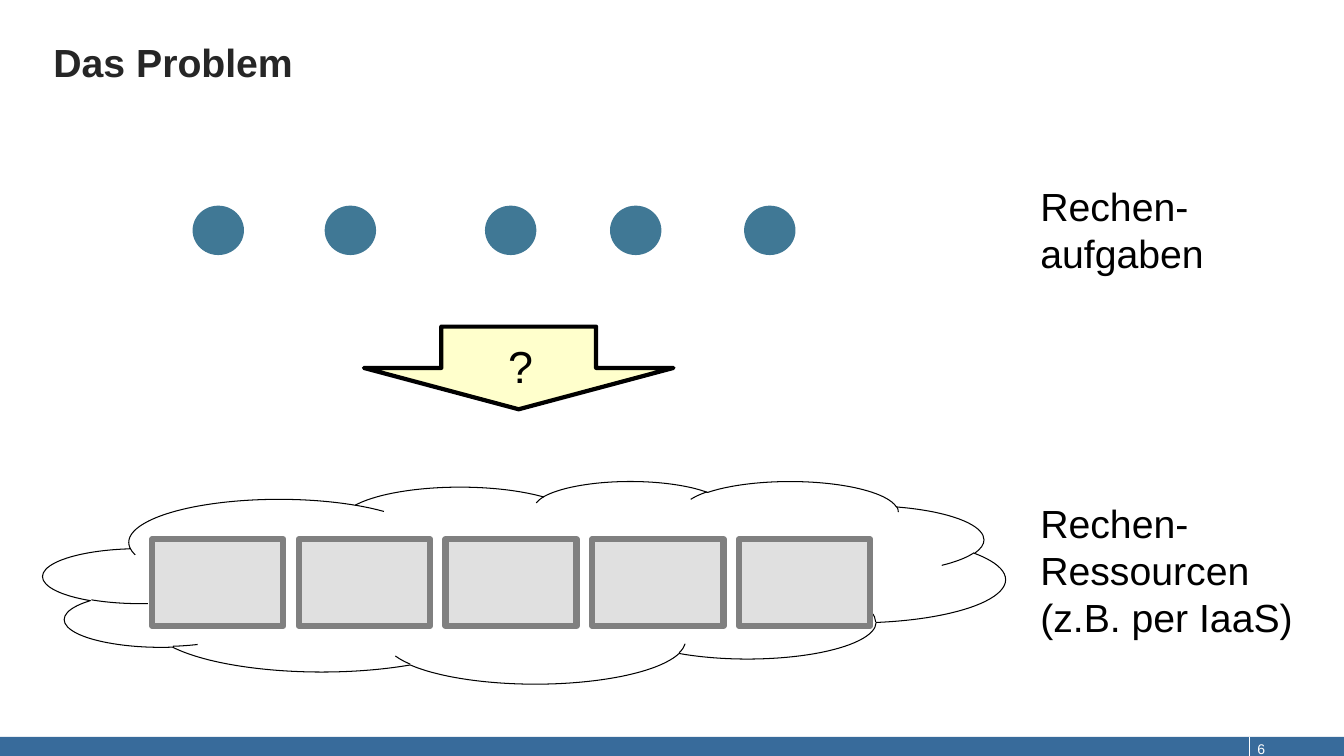
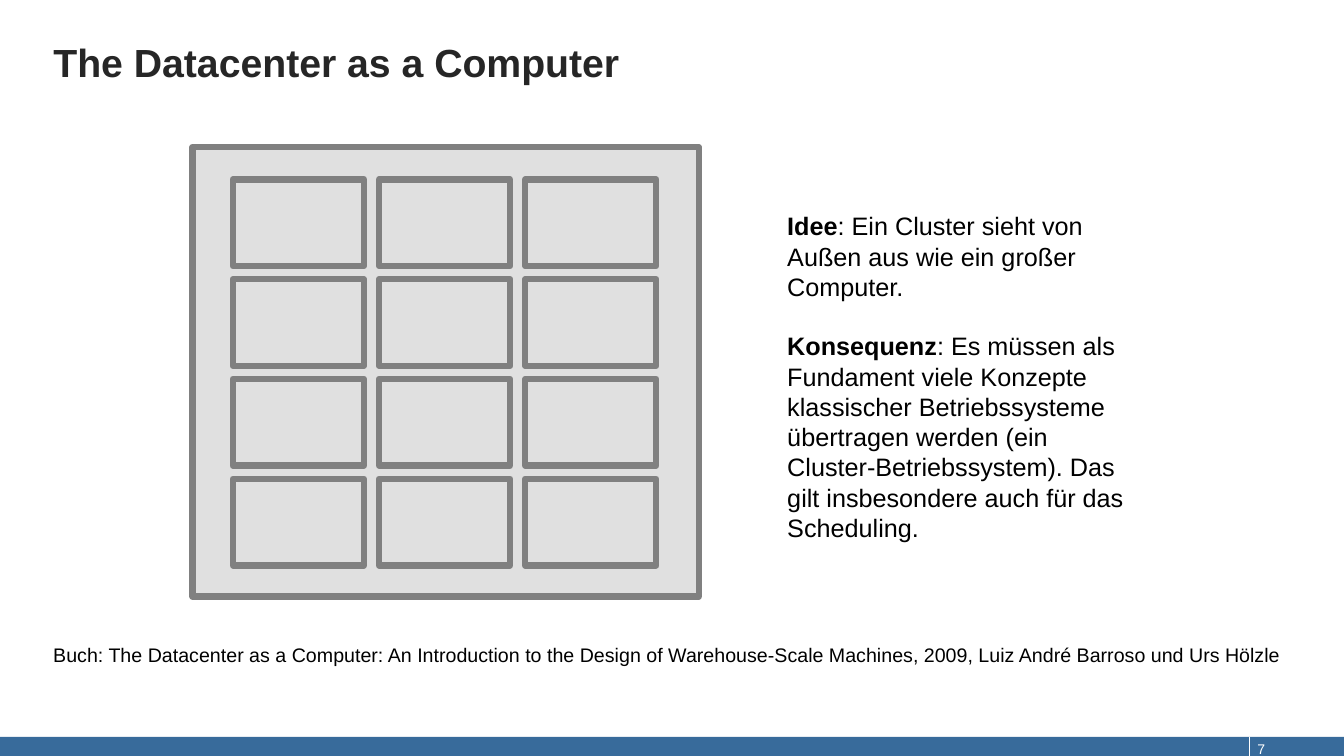
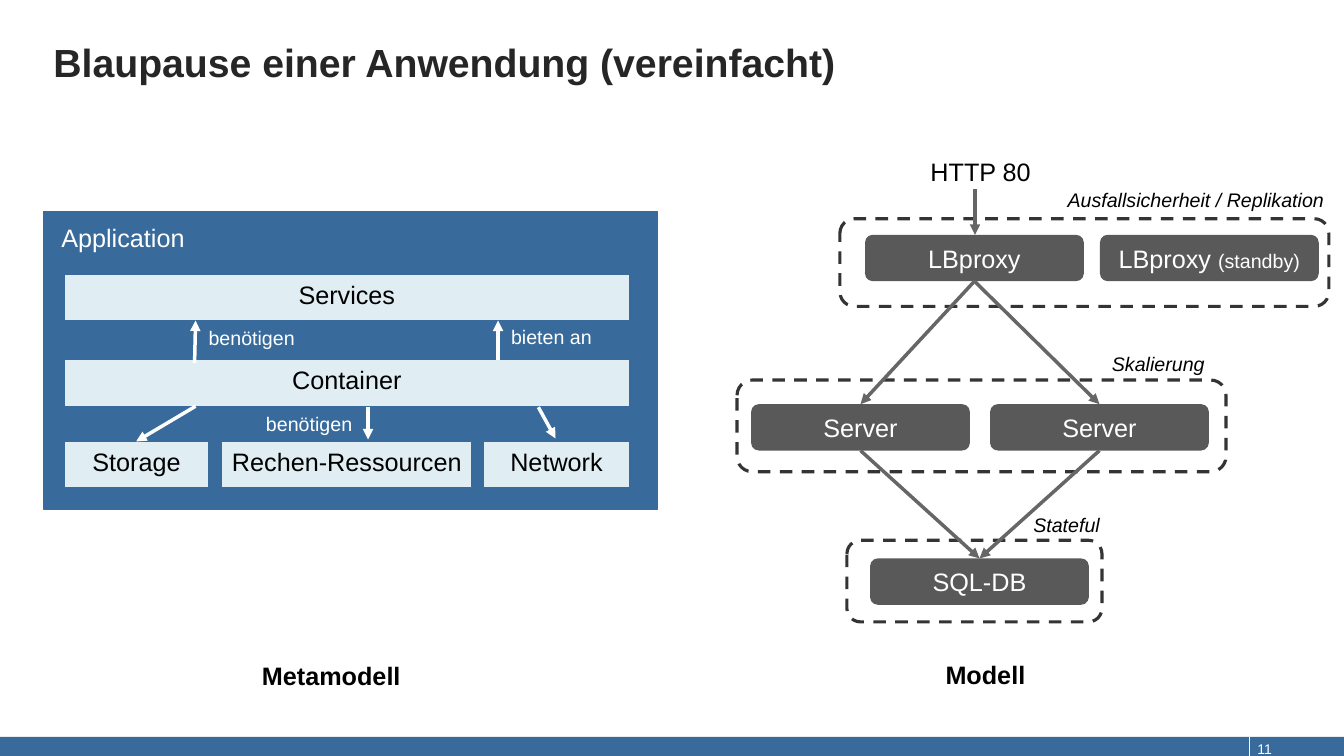
from lxml.etree import SubElement
from pptx import Presentation
from pptx.dml.color import RGBColor
from pptx.enum.dml import MSO_LINE
from pptx.enum.shapes import MSO_CONNECTOR, MSO_SHAPE
from pptx.enum.text import MSO_ANCHOR, PP_ALIGN
from pptx.oxml.ns import qn
from pptx.util import Inches, Pt

FONT = "Arial"
BLACK = RGBColor(0x00, 0x00, 0x00)
WHITE = RGBColor(0xFF, 0xFF, 0xFF)
TITLE_INK = RGBColor(0x26, 0x26, 0x26)
BLUE = RGBColor(0x38, 0x6B, 0x9B)
PALE_BLUE = RGBColor(0xE0, 0xEE, 0xF4)
TASK_BLUE = RGBColor(0x40, 0x78, 0x95)
PALE_YELLOW = RGBColor(0xFF, 0xFF, 0xCC)
LIGHT_GREY = RGBColor(0xE0, 0xE0, 0xE0)
MID_GREY = RGBColor(0x80, 0x80, 0x80)
ARROW_GREY = RGBColor(0x66, 0x66, 0x66)
NODE_GREY = RGBColor(0x59, 0x59, 0x59)
DASH_GREY = RGBColor(0x34, 0x34, 0x34)

CELL_WIDTH, CELL_HEIGHT = 1.3, 0.86
NODE_WIDTH, BAR_HEIGHT = 2.17, 0.46


def add_box(page, kind, left, top, width, height, text="", size=18, color=BLACK,
            fill=None, line=None, weight=0.75):
    place = [Inches(value) for value in (left, top, width, height)]
    if kind is None:
        box = page.shapes.add_textbox(*place)
        box.text_frame.word_wrap = False
    else:
        box = page.shapes.add_shape(kind, *place)
        box.shadow.inherit = False
        if fill is None:
            box.fill.background()
        else:
            box.fill.solid()
            box.fill.fore_color.rgb = fill
        if line is None:
            box.line.fill.background()
        else:
            box.line.color.rgb = line
            box.line.width = Pt(weight)
    if text:
        para = box.text_frame.paragraphs[0]
        para.text = text
        para.alignment = PP_ALIGN.LEFT if kind is None else PP_ALIGN.CENTER
        para.font.name = FONT
        para.font.size = Pt(size)
        para.font.color.rgb = color
    return box


def add_line(page, start, end, color, weight, arrow=True):
    points = [Inches(value) for value in (*start, *end)]
    connector = page.shapes.add_connector(MSO_CONNECTOR.STRAIGHT, *points)
    connector.line.color.rgb = color
    connector.line.width = Pt(weight)
    properties = connector._element.spPr
    if arrow:
        SubElement(properties.find(qn("a:ln")), qn("a:tailEnd"), type="triangle")
    SubElement(properties, qn("a:effectLst"))
    return connector


deck = Presentation()
deck.slide_width = Inches(13.33)
deck.slide_height = Inches(7.5)

pages = []
for heading, number in (
    ("Das Problem", "6"),
    ("The Datacenter as a Computer", "7"),
    ("Blaupause einer Anwendung (vereinfacht)", "11"),
):
    page = deck.slides.add_slide(deck.slide_layouts[5])
    title = page.shapes.title
    title.left, title.top = Inches(0.43), Inches(0.38)
    title.width, title.height = Inches(12.21), Inches(1.09)
    title.text_frame.text = heading
    title.text_frame.vertical_anchor = MSO_ANCHOR.TOP
    para = title.text_frame.paragraphs[0]
    para.alignment = PP_ALIGN.LEFT
    para.line_spacing = Pt(30)
    para.font.name = FONT
    para.font.size = Pt(28)
    para.font.bold = True
    para.font.color.rgb = TITLE_INK

    add_box(page, MSO_SHAPE.RECTANGLE, 0, 7.31, 13.33, 0.2, fill=BLUE)
    add_line(page, (12.39, 7.31), (12.39, 7.5), WHITE, 1, arrow=False)
    number_box = add_box(page, None, 12.47, 7.16, 0.78, 0.4, number, 10, WHITE)
    number_box.text_frame.word_wrap = True
    number_box.text_frame.margin_left = number_box.text_frame.margin_right = 0
    number_box.text_frame.vertical_anchor = MSO_ANCHOR.BOTTOM
    pages.append(page)

problem_page, datacenter_page, blueprint_page = pages

add_box(problem_page, MSO_SHAPE.CLOUD, 0.43, 4.77, 9.54, 2.01, fill=WHITE, line=BLACK)
for column in range(5):
    add_box(problem_page, MSO_SHAPE.RECTANGLE, 1.51 + column * 1.455, 5.35,
            CELL_WIDTH, CELL_HEIGHT, fill=LIGHT_GREY, line=MID_GREY, weight=4.5)
for left in (1.91, 3.22, 4.81, 6.05, 7.38):
    add_box(problem_page, MSO_SHAPE.OVAL, left, 2.04, 0.51, 0.49, fill=TASK_BLUE)
add_box(problem_page, None, 10.22, 1.76, 1.84, 1.04, "Rechen-\naufgaben", 28)
add_box(problem_page, None, 10.22, 4.9, 2.74, 1.51,
        "Rechen-\nRessourcen\n(z.B. per IaaS)", 28)
add_box(problem_page, MSO_SHAPE.DOWN_ARROW, 3.61, 3.24, 3.07, 0.82,
        fill=PALE_YELLOW, line=BLACK, weight=3)
add_box(problem_page, None, 4.94, 3.31, 0.45, 0.64, "?", 32)

add_box(datacenter_page, MSO_SHAPE.RECTANGLE, 1.91, 1.46, 5.02, 4.46,
        fill=LIGHT_GREY, line=MID_GREY, weight=4.5)
for row in range(4):
    for column in range(3):
        add_box(datacenter_page, MSO_SHAPE.RECTANGLE,
                2.31 + column * 1.45, 1.78 + row * 0.99, CELL_WIDTH, CELL_HEIGHT,
                fill=LIGHT_GREY, line=MID_GREY, weight=4.5)
source_box = add_box(
    datacenter_page, None, 0.43, 6.33, 12.64, 0.34,
    "Buch: The Datacenter as a Computer: An Introduction to the Design of "
    "Warehouse-Scale Machines, 2009, Luiz André Barroso und Urs Hölzle", 14)
source_box.text_frame.word_wrap = True

idea_frame = add_box(datacenter_page, None, 7.71, 2.04, 3.6, 3.43).text_frame
idea_frame.word_wrap = True
idea_frame.paragraphs[0].space_after = Pt(21)
idea_frame.add_paragraph()
for para, (term, explanation) in zip(idea_frame.paragraphs, (
    ("Idee", ": Ein Cluster sieht von Außen aus wie ein großer Computer."),
    ("Konsequenz", ": Es müssen als Fundament viele Konzepte klassischer "
     "Betriebssysteme übertragen werden (ein Cluster-Betriebssystem). "
     "Das gilt insbesondere auch für das Scheduling."),
)):
    para.font.name = FONT
    para.font.size = Pt(18)
    para.font.color.rgb = BLACK
    span = para.add_run()
    span.text = term
    span.font.bold = True
    para.add_run().text = explanation

add_box(blueprint_page, MSO_SHAPE.RECTANGLE, 0.43, 2.1, 6.09, 2.95, fill=BLUE, line=BLUE)
for text, left, top, width in (
    ("Services", 0.64, 2.72, 5.6),
    ("Container", 0.64, 3.57, 5.6),
    ("Storage", 0.64, 4.38, 1.43),
    ("Rechen-Ressourcen", 2.2, 4.38, 2.48),
    ("Network", 4.8, 4.38, 1.44),
):
    bar = add_box(blueprint_page, MSO_SHAPE.RECTANGLE, left, top, width, BAR_HEIGHT,
                  text, fill=PALE_BLUE, line=BLUE)
    bar.text_frame.vertical_anchor = MSO_ANCHOR.TOP

for start, end in (
    ((1.93, 3.6), (1.94, 3.18)),
    ((4.94, 3.57), (4.94, 3.18)),
    ((1.94, 4.03), (1.35, 4.38)),
    ((3.65, 4.04), (3.65, 4.36)),
    ((5.34, 4.04), (5.51, 4.35)),
):
    add_line(blueprint_page, start, end, WHITE, 2.5)

for left, top, width, height in (
    (8.33, 2.17, 4.85, 0.87),
    (7.31, 3.77, 4.85, 0.91),
    (8.4, 5.36, 2.53, 0.81),
):
    group_frame = add_box(blueprint_page, MSO_SHAPE.ROUNDED_RECTANGLE, left, top,
                          width, height, line=DASH_GREY, weight=2.25)
    group_frame.line.dash_style = MSO_LINE.DASH

proxy, standby, left_server, right_server, database = [
    add_box(blueprint_page, MSO_SHAPE.ROUNDED_RECTANGLE, left, top,
            NODE_WIDTH, BAR_HEIGHT, text, color=WHITE, fill=NODE_GREY)
    for text, left, top in (
        ("LBproxy", 8.58, 2.33),
        ("LBproxy ", 10.91, 2.33),
        ("Server", 7.45, 4.01),
        ("Server", 9.82, 4.01),
        ("SQL-DB", 8.63, 5.54),
    )
]
span = standby.text_frame.paragraphs[0].add_run()
span.text = "(standby)"
span.font.size = Pt(14)

add_line(blueprint_page, (9.67, 1.88), (9.67, 2.33), ARROW_GREY, 2.5)
for source, target in (
    (proxy, left_server),
    (proxy, right_server),
    (left_server, database),
    (right_server, database),
):
    connector = add_line(blueprint_page, (0, 0), (0, 0), ARROW_GREY, 2.5)
    connector.begin_connect(source, 2)
    connector.end_connect(target, 0)

for text, left, top, width, height, size, color, bold, italic in (
    ("Application", 0.51, 2.16, 1.44, 0.4, 18, WHITE, False, False),
    ("benötigen", 1.97, 3.18, 1.06, 0.34, 14, WHITE, False, False),
    ("bieten an", 4.97, 3.17, 1.01, 0.34, 14, WHITE, False, False),
    ("benötigen", 2.54, 4.04, 1.06, 0.34, 14, WHITE, False, False),
    ("HTTP 80", 9.13, 1.5, 1.21, 0.4, 18, BLACK, False, False),
    ("Ausfallsicherheit / Replikation", 10.49, 1.82, 2.76, 0.34, 14, BLACK, False, True),
    ("Skalierung", 10.93, 3.44, 1.13, 0.34, 14, BLACK, False, True),
    ("Stateful", 10.15, 5.04, 0.87, 0.34, 14, BLACK, False, True),
    ("Metamodell", 2.5, 6.5, 1.59, 0.4, 18, BLACK, True, False),
    ("Modell", 9.28, 6.49, 1, 0.4, 18, BLACK, True, False),
):
    label = add_box(blueprint_page, None, left, top, width, height, text, size, color)
    label.text_frame.paragraphs[0].font.bold = bold
    label.text_frame.paragraphs[0].font.italic = italic

deck.save("out.pptx")
